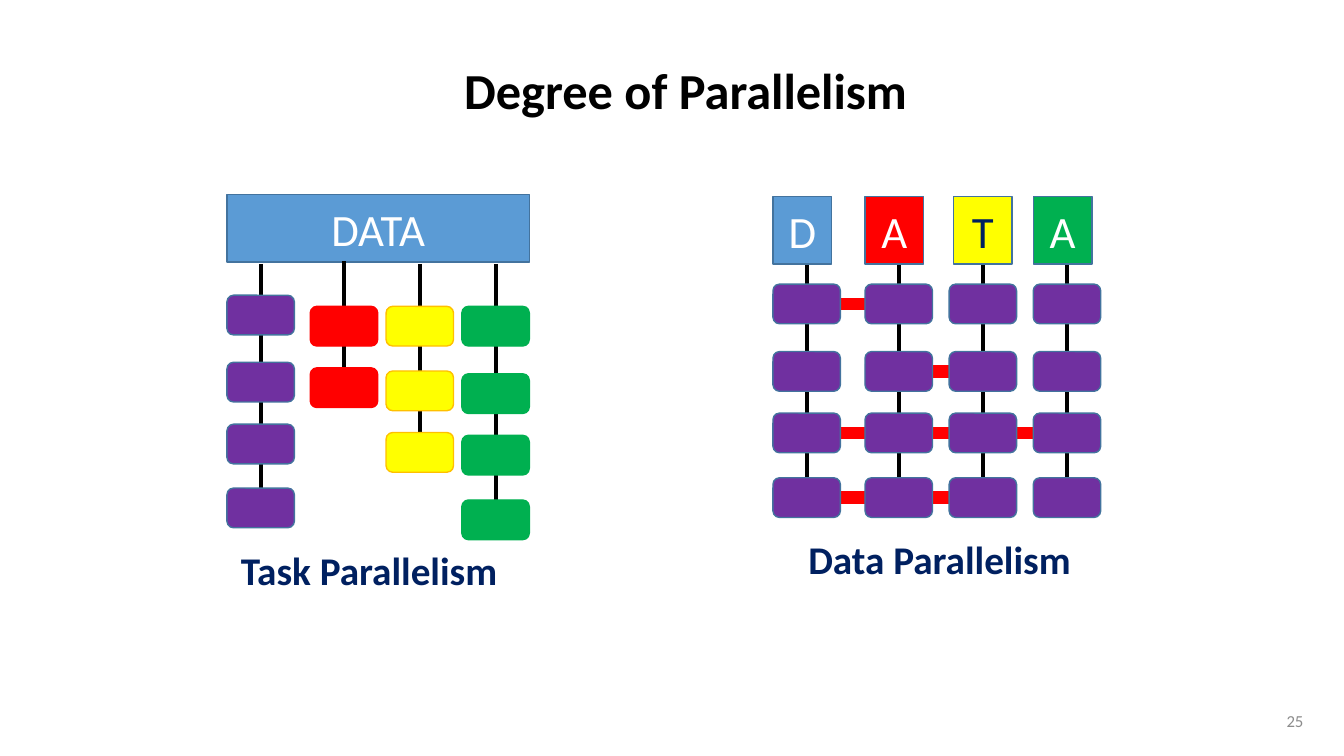
from pptx import Presentation
from pptx.dml.color import RGBColor
from pptx.enum.shapes import MSO_CONNECTOR, MSO_SHAPE
from pptx.enum.text import MSO_ANCHOR, PP_ALIGN
from pptx.oxml.ns import qn
from pptx.util import Cm, Pt

FONT = "Calibri"
BLACK, WHITE, NAVY, GREY = "000000", "FFFFFF", "002060", "8C8C8C"
BLUE, EDGE, PURPLE = "5B9BD5", "43739E", "7030A0"
RED, YELLOW, ORANGE, GREEN = "FF0000", "FFFF00", "FFC000", "00B050"

BOX_WIDTH, BOX_HEIGHT = 1.7, 1.0
BOTTOM = 2

# left, fill, edge, top of the line, tops of the boxes
TASKS = [
    (5.72, PURPLE, EDGE, 6.65, [7.44, 9.13, 10.69, 12.3]),
    (7.82, RED, RED, 6.58, [7.72, 9.27]),
    (9.73, YELLOW, ORANGE, 6.65, [7.72, 9.35, 10.9]),
    (11.64, GREEN, GREEN, 6.65, [7.72, 9.42, 10.97, 12.6]),
]

# letter, tile left, column left, fill, letter colour
PARTS = [
    ("D", 19.48, 19.48, BLUE, WHITE),
    ("A", 21.8, 21.8, RED, WHITE),
    ("T", 24.03, 23.92, YELLOW, NAVY),
    ("A", 26.04, 26.04, GREEN, WHITE),
]
PART_TOPS = [7.16, 8.86, 10.41, 12.04]

# left and right end of the link in each row
LINKS = [(20.75, 22.38), (22.86, 24.51), (20.73, 26.77), (19.56, 25.6)]


def color(value):
    return RGBColor.from_string(value)


def write(frame, text, size, tint, bold=False, align=PP_ALIGN.LEFT):
    para = frame.paragraphs[0]
    para.alignment = align
    span = para.add_run()
    span.text = text
    span.font.name = FONT
    span.font.size = Pt(size)
    span.font.bold = bold
    span.font.color.rgb = color(tint)
    return para


def add_box(shapes, kind, left, top, width, height, fill, edge):
    box = shapes.add_shape(kind, Cm(left), Cm(top), Cm(width), Cm(height))
    box.shadow.inherit = False
    box.fill.solid()
    box.fill.fore_color.rgb = color(fill)
    box.line.color.rgb = color(edge)
    box.line.width = Pt(1)
    return box


def add_data_tile(shapes, text, left, top, width, fill, tint):
    tile = add_box(shapes, MSO_SHAPE.RECTANGLE, left, top, width, 1.7, fill, EDGE)
    frame = tile.text_frame
    frame.margin_left = frame.margin_right = 0
    frame.vertical_anchor = MSO_ANCHOR.MIDDLE
    write(frame, text, 32, tint, align=PP_ALIGN.CENTER)


def add_line(shapes, x1, y1, x2, y2, tint, width):
    line = shapes.add_connector(
        MSO_CONNECTOR.STRAIGHT, Cm(x1), Cm(y1), Cm(x2), Cm(y2))
    line.line.color.rgb = color(tint)
    line.line.width = Pt(width)
    properties = line._element.spPr
    properties.append(properties.makeelement(qn("a:effectLst"), {}))
    return line


def add_column(shapes, left, line_top, tops, fill, edge):
    """Stack boxes in front of a line that ends at the last box."""
    middle = left + BOX_WIDTH / 2
    line = add_line(shapes, middle, line_top, middle, tops[-1] + BOX_HEIGHT, BLACK, 3)
    for top in tops:
        box = add_box(shapes, MSO_SHAPE.ROUNDED_RECTANGLE, left, top,
                      BOX_WIDTH, BOX_HEIGHT, fill, edge)
    line.end_connect(box, BOTTOM)


def add_caption(shapes, text, left, top, width):
    box = shapes.add_textbox(Cm(left), Cm(top), Cm(width), Cm(1.45))
    box.text_frame.word_wrap = False
    write(box.text_frame, text, 28, NAVY, bold=True)


def add_title(slide, text):
    title = slide.shapes.title
    title.left, title.top, title.width, title.height = (
        Cm(5.85), Cm(0.08), Cm(22.86), Cm(3.58))
    title.text_frame.vertical_anchor = MSO_ANCHOR.MIDDLE
    para = write(title.text_frame, text, 36, BLACK, bold=True, align=PP_ALIGN.CENTER)
    para.line_spacing = 1.5


def add_page_number(slide, number):
    box = slide.shapes.add_textbox(Cm(25.48), Cm(17.65), Cm(7.62), Cm(1.02))
    box.text_frame.word_wrap = True
    box.text_frame.vertical_anchor = MSO_ANCHOR.MIDDLE
    write(box.text_frame, number, 12, GREY, align=PP_ALIGN.RIGHT)


def add_task_parallelism(slide):
    shapes = slide.shapes.add_group_shape().shapes
    add_data_tile(shapes, "DATA", 5.72, 4.9, 7.62, BLUE, WHITE)
    for left, fill, edge, line_top, tops in TASKS:
        add_column(shapes, left, line_top, tops, fill, edge)
    add_caption(shapes, "Task Parallelism", 5.82, 13.64, 7.06)


def add_data_parallelism(slide):
    shapes = slide.shapes.add_group_shape().shapes
    for (start, end), top in zip(LINKS, PART_TOPS):
        middle = top + BOX_HEIGHT / 2
        add_line(shapes, start, middle, end, middle, RED, 9)
    for letter, tile_left, left, fill, tint in PARTS:
        add_column(shapes, left, 6.38, PART_TOPS, PURPLE, EDGE)
        add_data_tile(shapes, letter, tile_left, 4.95, 1.48, fill, tint)
    add_caption(shapes, "Data Parallelism", 20.12, 13.36, 7.21)


def main():
    deck = Presentation()
    deck.slide_width, deck.slide_height = Cm(33.87), Cm(19.05)
    page = deck.slides.add_slide(deck.slide_layouts.get_by_name("Title Only"))
    add_page_number(page, "25")
    add_title(page, "Degree of Parallelism")
    add_task_parallelism(page)
    add_data_parallelism(page)
    deck.save("out.pptx")


if __name__ == "__main__":
    main()
